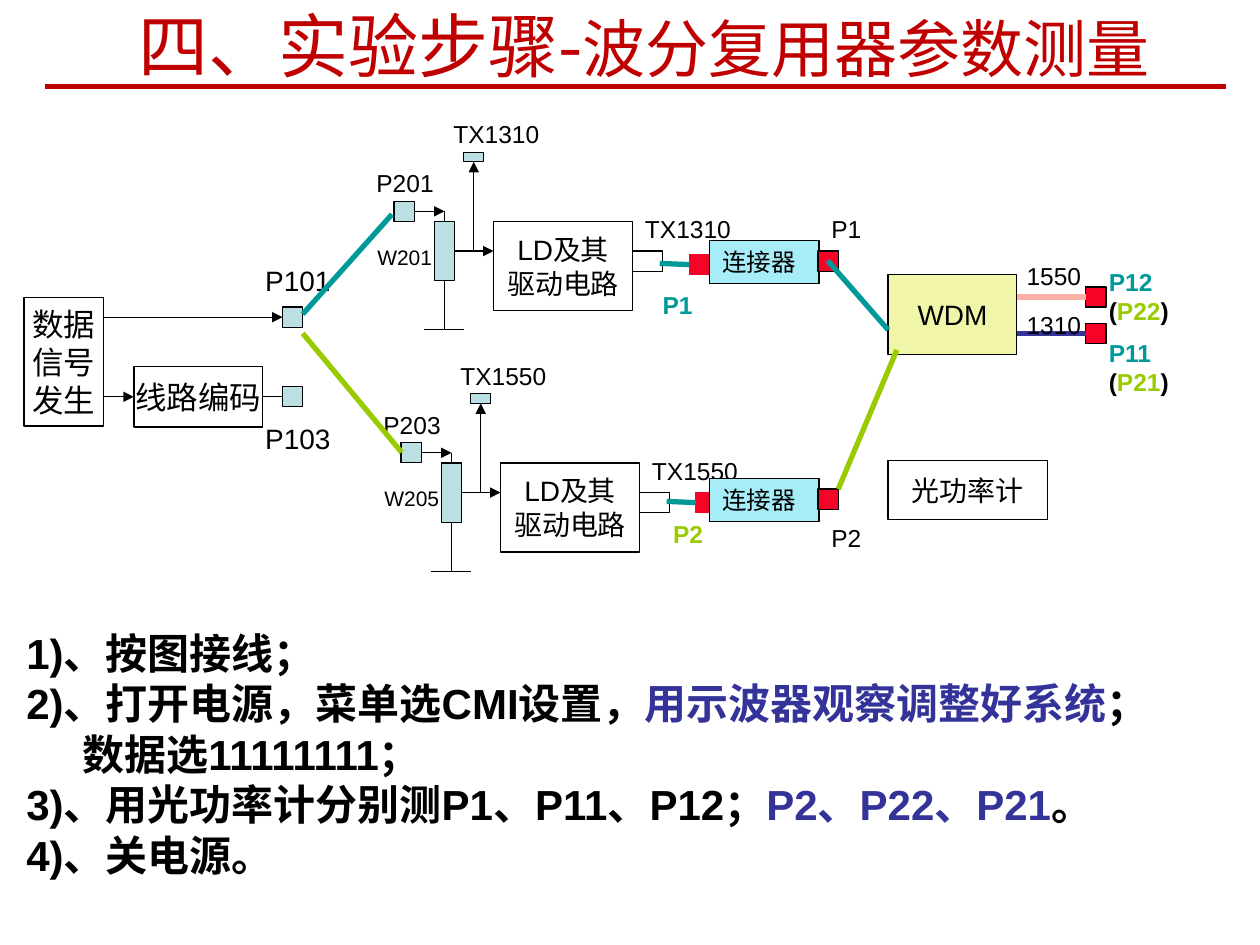
from lxml import etree
from pptx import Presentation
from pptx.dml.color import RGBColor
from pptx.enum.shapes import MSO_CONNECTOR, MSO_SHAPE
from pptx.enum.text import MSO_ANCHOR, MSO_AUTO_SIZE, PP_ALIGN
from pptx.oxml.ns import qn
from pptx.util import Pt

RECT, LINE = MSO_SHAPE.RECTANGLE, MSO_CONNECTOR.STRAIGHT
LEFT, MID = PP_ALIGN.LEFT, PP_ALIGN.CENTER
TOP, CENTER = MSO_ANCHOR.TOP, MSO_ANCHOR.MIDDLE
GROW = MSO_AUTO_SIZE.SHAPE_TO_FIT_TEXT

BLACK = RGBColor(0x00, 0x00, 0x00)
WHITE = RGBColor(0xFF, 0xFF, 0xFF)
PALE = RGBColor(0xBB, 0xE0, 0xE3)
CYAN = RGBColor(0xA7, 0xED, 0xF7)
CREAM = RGBColor(0xF1, 0xF5, 0xA9)
RED = RGBColor(0xF6, 0x04, 0x27)
TEAL = RGBColor(0x00, 0x99, 0x99)
LIME = RGBColor(0x99, 0xCC, 0x00)
NAVY = RGBColor(0x33, 0x33, 0x99)
PINK = RGBColor(0xFD, 0xB1, 0xA5)
WINE = RGBColor(0xC0, 0x00, 0x00)
CJK = "Noto Sans CJK SC"
PIN = 11.5  # side of a test point

deck = Presentation()
deck.slide_width, deck.slide_height = Pt(720), Pt(540)
slide = deck.slides.add_slide(deck.slide_layouts[6])
shapes = slide.shapes


def put(x, y, w, h, text="", size=14, inks=(BLACK,), fill=None, edge=BLACK,
        bold=False, align=LEFT, anchor=TOP, wrap=False, face="Arial"):
    """Box if filled, else plain text; "|" parts the runs, inks colour them."""
    spot = Pt(x), Pt(y), Pt(w), Pt(h)
    if fill is None:
        item = shapes.add_textbox(*spot)
    else:
        item = shapes.add_shape(RECT, *spot)
        item.shadow.inherit = False
        item.fill.solid()
        item.fill.fore_color.rgb = fill
        item.line.color.rgb = edge
        item.line.width = Pt(0.75)
    if not text:
        return item
    frame = item.text_frame
    frame.text = text
    frame.word_wrap = wrap
    frame.vertical_anchor = anchor
    if fill is None and not wrap:
        frame.auto_size = GROW
    for para in frame.paragraphs:
        para.alignment = align
        first, *rest = para.text.split("|")
        para.text = first
        for part in rest:
            para.add_run().text = part
        for run, ink in zip(para.runs, inks):
            font = run.font
            font.size, font.bold, font.name = Pt(size), bold, face
            font.color.rgb = ink
            latin = run._r.rPr.find(qn("a:latin"))
            east = etree.Element(qn("a:ea"), typeface=CJK)
            latin.addnext(east)
    return item


def wire(x1, y1, x2, y2, ink=BLACK, width=0.75, arrow=False, start=None, end=None):
    """Straight line; start and end are (shape, side) joints."""
    item = shapes.add_connector(LINE, Pt(x1), Pt(y1), Pt(x2), Pt(y2))
    if start:
        item.begin_connect(*start)
    if end:
        item.end_connect(*end)
    item.line.color.rgb = ink
    item.line.width = Pt(width)
    if arrow:
        etree.SubElement(item.line._get_or_add_ln(), qn("a:tailEnd"), type="triangle")
    etree.SubElement(item._element.spPr, qn("a:effectLst"))


# Title and rule
title = put(36.5, -2, 663, 52, "四、实验步骤-|波分复用器参数测量", 40, (WINE, WINE),
            align=MID, wrap=True, face=CJK)
title.text_frame.paragraphs[0].runs[1].font.size = Pt(36)
wire(25.5, 49.5, 700.5, 49.5, WINE, 3)

# Data source, line coder and their test points
data = put(13.75, 170, 45.5, 73.5, "数据\n信号\n发生", 18, fill=WHITE, align=MID, anchor=CENTER)
coder = put(76.5, 209.5, 73.5, 34.5, "线路编码", 18, fill=WHITE, align=MID, anchor=CENTER)
p101 = put(161.5, 175.5, PIN, PIN, fill=PALE)
p103 = put(161.5, 221, PIN, PIN, fill=PALE)
wire(59.25, 181.25, 161.5, 181.25, arrow=True, end=(p101, 1))
wire(59.25, 226.75, 76.5, 226.75, arrow=True, end=(coder, 1))
wire(150, 226.75, 161.5, 226.75, start=(coder, 3), end=(p103, 1))
put(144.5, 147, 52, 26.5, "P101", 16)
put(144.5, 237.5, 52, 26.5, "P103", 16)

# Two transmit channels: shift of the circuit (dx, dy), of the optics (oy)
for dx, dy, oy, tap, pot, tx in (
    (0, 0, 0, "P201", "W201", "TX1310"),
    (4, 138, 136, "P203", "W205", "TX1550"),
):
    put(282 + dx, 126.5 + dy, 79.5, 51, "LD及其\n驱动电路", 16, fill=WHITE,
        align=MID, anchor=CENTER)
    put(361.5 + dx, 143.5 + dy, 17, PIN, fill=WHITE)
    wire(254 + dx, 143.5 + dy, 282 + dx, 143.5 + dy, arrow=True)
    point = put(225.25 + dx, 115 + dy, PIN, PIN, fill=PALE)
    wire(236.75 + dx, 120.75 + dy, 254 + dx, 120.75 + dy, arrow=True, start=(point, 3))
    knob = put(248.25 + dx, 126.5 + dy, PIN, 34, fill=PALE)
    wire(254 + dx, 120.75 + dy, 254 + dx, 126.5 + dy, end=(knob, 0))
    wire(254 + dx, 160.5 + dy, 254 + dx, 188.5 + dy, start=(knob, 2))
    wire(242.5 + dx, 188.5 + dy, 265 + dx, 188.5 + dy)
    head = put(265 + dx, 87 + dy, PIN, 5.5, fill=PALE)
    wire(270.75 + dx, 143.5 + dy, 270.75 + dx, 92.5 + dy, arrow=True, end=(head, 2))
    put(252 + dx, 64.5 + dy, 63.5, 24.5, tx)
    put(208 + dx, 92.5 + dy, 47, 24.5, tap)
    put(208.5 + dx, 136 + dy, 45.5, 21.5, pot, 12)
    put(361.5 + dx, 119 + dy, 63.5, 24.5, tx)
    # Fibre plug, coupler and its outlet
    plug = put(394 + dx * 0.9, 145.5 + oy, PIN, PIN, fill=RED, edge=RED)
    wire(377 + dx, 150.5 + oy, 394 + dx, 151.25 + oy, TEAL, 3, end=(plug, 1))
    put(405.5, 137.5 + oy, 62.5, 24.5, "连接器", fill=CYAN, wrap=True)
    put(467.5, 143.5 + oy, PIN, PIN, fill=RED)

# WDM, its two outputs and the power meter
wdm = put(507.5, 157, 73.5, 45.5, "WDM", 16, fill=CREAM, align=MID, anchor=CENTER)
put(507.5, 263, 91, 34, "光功率计", 16, fill=WHITE, align=MID, anchor=CENTER)
for y, ink, wave, label, inks_y in (
    (169.75, PINK, "1550", "P12|\t(|P22|)", 149),
    (190.75, NAVY, "1310", "P11|\t(|P21|)", 189.5),
):
    out = put(620.5, y - PIN / 2, PIN, PIN, fill=RED)
    wire(581, y, 620.5, y, ink, 3, end=(out, 1))
    put(579.5, 145.5 if ink == PINK else 173.5, 45.5, 24.5, wave)
    note = put(626.5, inks_y, 85, 24.5, label, inks=(TEAL, BLACK, LIME, BLACK), bold=True)
    tabs = etree.SubElement(note.text_frame.paragraphs[0]._p.get_or_add_pPr(), qn("a:tabLst"))
    etree.SubElement(tabs, qn("a:tab"), pos=str(Pt(37)), algn="l")

# Patch fibres
for ends, ink in (
    ((173, 179.5, 224, 122.5), TEAL),
    ((473, 149, 507.5, 188.5), TEAL),
    ((229.5, 258.5, 173, 190.5), LIME),
    ((479, 279.5, 512.5, 200), LIME),
):
    wire(*ends, ink, 3)

# Port names
for x, y, name, ink, bold in (
    (371.5, 162, "P1", TEAL, True),
    (377.5, 293, "P2", LIME, True),
    (468, 119, "P1", BLACK, False),
    (468, 295.5, "P2", BLACK, False),
):
    put(x, y, 31.5, 24.5, name, inks=(ink,), bold=bold)

# Steps
steps = put(8, 355, 700, 151, "1)、按图接线；\n"
            "2)、打开电源，菜单选CMI设置，|用示波器观察调整好系统|；\n"
            "数据选11111111；\n"
            "3)、用光功率计分别测P1、P11、P12；|P2、P22、P21|。\n"
            "4)、关电源。", 24, (BLACK, NAVY, BLACK), bold=True)
steps.text_frame.paragraphs[2]._p.get_or_add_pPr().set("marL", str(Pt(32)))

deck.save("out.pptx")
